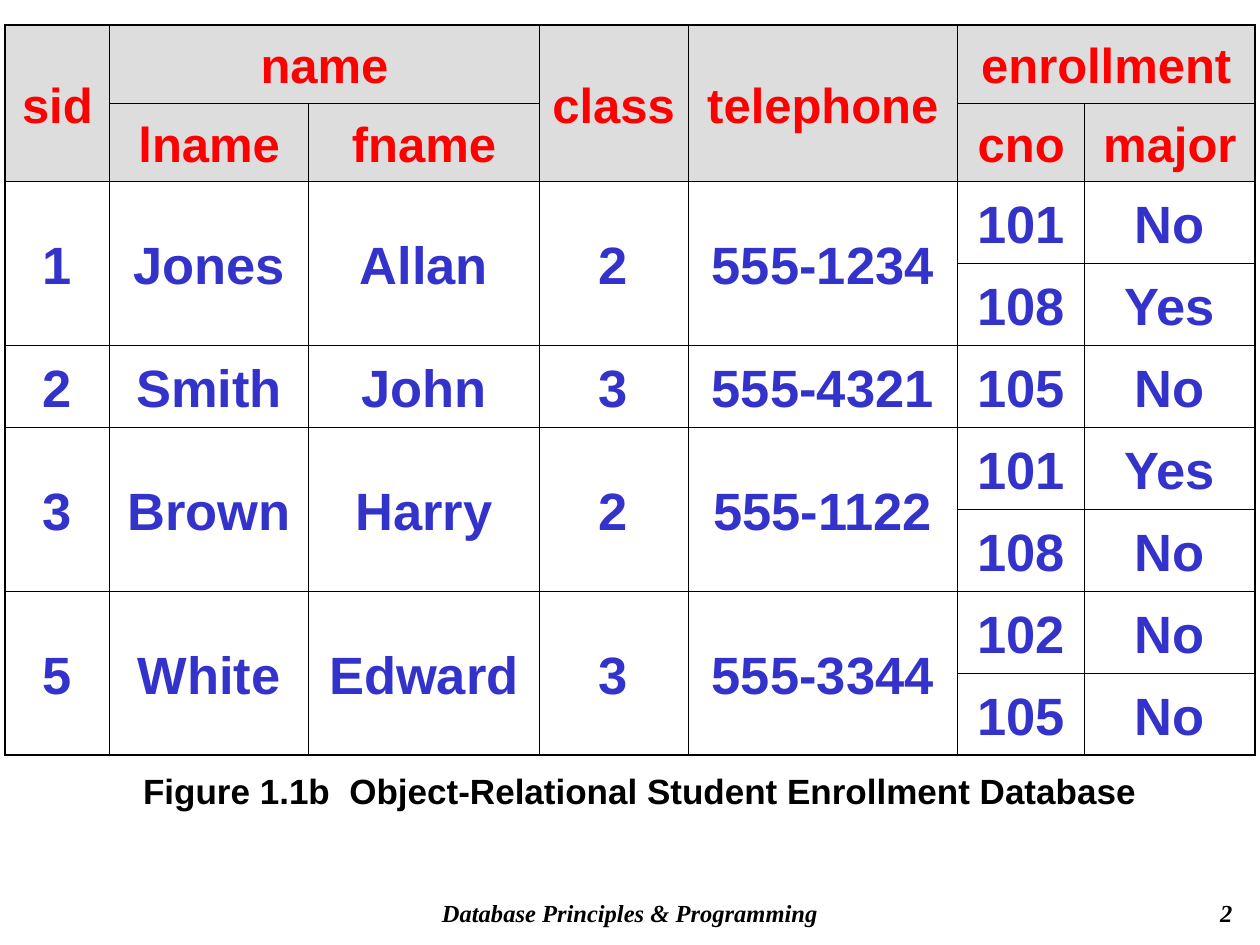
from lxml.etree import SubElement
from pptx import Presentation
from pptx.dml.color import RGBColor
from pptx.enum.text import MSO_ANCHOR, PP_ALIGN
from pptx.oxml.ns import qn
from pptx.util import Inches, Pt

# Content: "<" joins the cell to its left, "^" joins the cell above
ROWS = [
    ["sid", "name", "<", "class", "telephone", "enrollment", "<"],
    ["^", "lname", "fname", "^", "^", "cno", "major"],
    ["1", "Jones", "Allan", "2", "555-1234", "101", "No"],
    ["^", "^", "^", "^", "^", "108", "Yes"],
    ["2", "Smith", "John", "3", "555-4321", "105", "No"],
    ["3", "Brown", "Harry", "2", "555-1122", "101", "Yes"],
    ["^", "^", "^", "^", "^", "108", "No"],
    ["5", "White", "Edward", "3", "555-3344", "102", "No"],
    ["^", "^", "^", "^", "^", "105", "No"],
]
WIDTHS = [0.83, 1.58, 1.83, 1.18, 2.14, 1.01, 1.35]
HEADS = 2
HEIGHTS = [0.62] * HEADS + [0.65] * (len(ROWS) - HEADS)
LEFT, TOP = 0.04, 0.2

# Theme
THEME = {
    "head": {"name": "Arial", "size": Pt(28), "bold": True, "color": "FF0000"},
    "body": {"name": "Arial", "size": Pt(30), "bold": True, "color": "3333CC"},
    "caption": {"name": "Arial", "size": Pt(20), "bold": True, "color": "000000"},
    "footer": {"name": "Times New Roman", "size": Pt(14), "bold": True,
               "italic": True, "color": "000000"},
    "shade": "DDDDDD", "line": "000000", "thin": Pt(0.45), "thick": Pt(1.08),
    "plain": "{2D5ABB26-0587-4C30-8999-92F81FD0307C}",
}
NOTES = [
    ("Database Principles & Programming", "footer", PP_ALIGN.CENTER,
     (2.75, 7.08, 4.5, 0.33)),
    ("2", "footer", PP_ALIGN.RIGHT, (7.8, 7.08, 2.08, 0.33)),
    ("Figure 1.1b  Object-Relational Student Enrollment Database", "caption",
     PP_ALIGN.CENTER, (0.58, 6.06, 9, 1.16)),
]


def write(frame, text, style, **layout):
    para = frame.paragraphs[0]
    for key, value in layout.items():
        setattr(para, key, value)
    run = para.add_run()
    run.text = text
    for key, value in THEME[style].items():
        if key == "color":
            run.font.color.rgb = RGBColor.from_string(value)
        else:
            setattr(run.font, key, value)


def border(cell, outer):
    props = cell._tc.get_or_add_tcPr()
    for side, edge in outer.items():
        width = THEME["thick" if edge else "thin"]
        line = SubElement(props, qn("a:ln" + side), w=str(int(width)))
        fill = SubElement(line, qn("a:solidFill"))
        SubElement(fill, qn("a:srgbClr"), val=THEME["line"])


deck = Presentation()
deck.slide_width, deck.slide_height = Inches(10), Inches(7.5)
slide = deck.slides.add_slide(deck.slide_layouts[6])

# Footer, page number and caption
for text, style, align, place in NOTES:
    box = slide.shapes.add_textbox(*map(Inches, place))
    box.text_frame.word_wrap = True
    write(box.text_frame, text, style, alignment=align)

# Table grid
rows, cols = len(ROWS), len(WIDTHS)
frame = slide.shapes.add_table(rows, cols, *map(
    Inches, (LEFT, TOP, sum(WIDTHS), sum(HEIGHTS))))
table = frame.table
table.first_row = table.horz_banding = False
frame.element.find(".//" + qn("a:tableStyleId")).text = THEME["plain"]
for col, width in zip(table.columns, WIDTHS):
    col.width = Inches(width)
for row, height in zip(table.rows, HEIGHTS):
    row.height = Inches(height)

# Cells
for r, row in enumerate(ROWS):
    for c, text in enumerate(row):
        if text in "<^":
            continue
        cell = table.cell(r, c)
        down, right = r, c
        while down + 1 < rows and ROWS[down + 1][c] == "^":
            down += 1
        while right + 1 < cols and row[right + 1] == "<":
            right += 1
        if (down, right) != (r, c):
            cell.merge(table.cell(down, right))
        border(cell, {"L": c == 0, "R": right == cols - 1,
                      "T": r == 0, "B": down == rows - 1})
        head = r < HEADS
        if head:
            cell.fill.solid()
            cell.fill.fore_color.rgb = RGBColor.from_string(THEME["shade"])
        else:
            cell.fill.background()
        cell.vertical_anchor = MSO_ANCHOR.MIDDLE
        write(cell.text_frame, text, "head" if head else "body",
              alignment=PP_ALIGN.CENTER, line_spacing=1.1,
              space_before=Pt(7 if head else 7.5))

deck.save("out.pptx")
